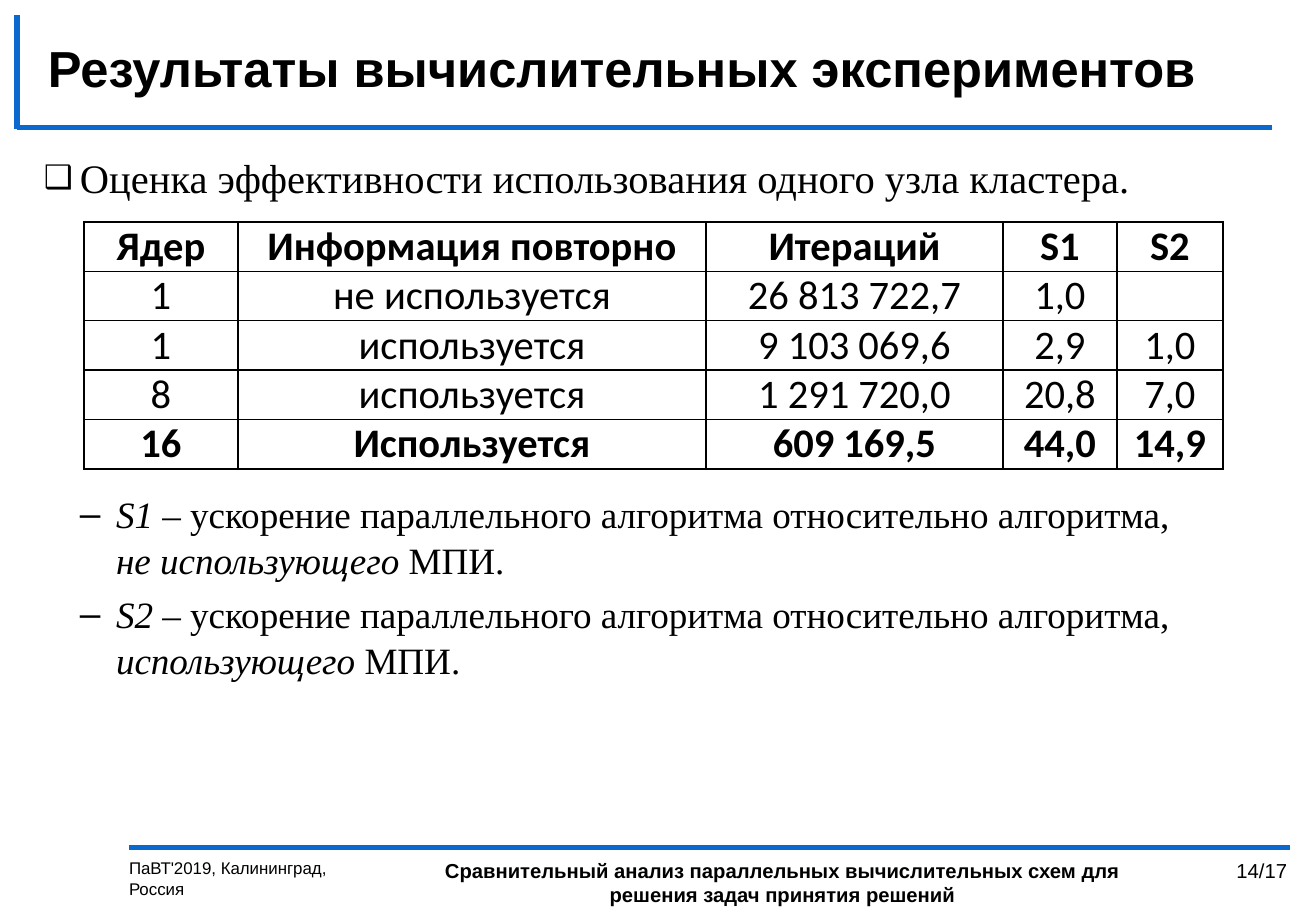
from lxml.etree import SubElement
from pptx import Presentation
from pptx.dml.color import RGBColor
from pptx.enum.shapes import MSO_CONNECTOR
from pptx.enum.text import MSO_ANCHOR as Anchor, PP_ALIGN as Align
from pptx.oxml.ns import qn
from pptx.util import Emu, Pt

BLACK = RGBColor(0x00, 0x00, 0x00)
BLUE = RGBColor(0x09, 0x69, 0xCD)
WIDTH, HEIGHT = 1316, 911


def px(length):
    """Turn picture pixels into EMU."""
    return Emu(round(length * 914400 / 121.5))


def write(paragraph, text, font="Arial", size=12, bold=False, italic=False, color=BLACK):
    """Append one formatted run to a paragraph."""
    run = paragraph.add_run()
    run.text = text
    run.font.name, run.font.size = font, Pt(size)
    run.font.bold, run.font.italic = bold, italic
    run.font.color.rgb = color


def add_bullet(paragraph, char, indent, percent=100):
    """Give a paragraph a hanging bullet, with the indent in pixels."""
    properties = paragraph._p.get_or_add_pPr()
    properties.set("marL", str(px(indent)))
    properties.set("indent", str(-px(36)))
    SubElement(properties, qn("a:buSzPct"), val=str(percent * 1000))
    SubElement(properties, qn("a:buFont"), typeface="Arial")
    SubElement(properties, qn("a:buChar"), char=char)


def add_borders(cell):
    """Draw thin black borders on all four sides of a cell."""
    properties = cell._tc.get_or_add_tcPr()
    for index, side in enumerate(("lnL", "lnR", "lnT", "lnB")):
        line = properties.makeelement(qn(f"a:{side}"), {"w": str(Pt(1))})
        fill = SubElement(line, qn("a:solidFill"))
        SubElement(fill, qn("a:srgbClr"), val=str(BLACK))
        properties.insert(index, line)


class SlideBuilder:
    """Holds the current slide and the shared style of its elements."""

    body_font, table_font = "Times New Roman", "Calibri"

    def __init__(self, slide):
        """Keep the slide to draw on."""
        self.shapes = slide.shapes

    def rule(self, x1, y1, x2, y2):
        """Draw a blue decorative line."""
        line = self.shapes.add_connector(MSO_CONNECTOR.STRAIGHT, px(x1), px(y1), px(x2), px(y2))
        line.line.color.rgb, line.line.width = BLUE, Pt(3)
        SubElement(line._element.spPr, qn("a:effectLst"))

    def frame(self, left, top, width, height, anchor=Anchor.TOP):
        """Add a wrapping text box without insets and return its text frame."""
        frame = self.shapes.add_textbox(px(left), px(top), px(width), px(height)).text_frame
        frame.word_wrap, frame.vertical_anchor = True, anchor
        frame.margin_left = frame.margin_right = frame.margin_top = frame.margin_bottom = 0
        return frame

    def label(self, text, *box, align=Align.LEFT, anchor=Anchor.TOP, **style):
        """Add a text box with one paragraph and return the paragraph."""
        paragraph = self.frame(*box, anchor=anchor).paragraphs[0]
        paragraph.alignment = align
        write(paragraph, text, **style)
        return paragraph

    def definitions(self, items, *box):
        """List dashed definitions made of (text, italic) runs."""
        frame = self.frame(*box)
        for index, runs in enumerate(items):
            paragraph = frame.add_paragraph() if index else frame.paragraphs[0]
            paragraph.line_spacing = 1.03
            paragraph.space_before = Pt(5 if index else 0)
            add_bullet(paragraph, "–", 72)
            for text, italic in runs:
                write(paragraph, text, font=self.body_font, size=22, italic=italic)

    def table(self, rows, left, top, widths, row_height):
        """Add a bordered table whose first and last rows are bold."""
        grid = self.shapes.add_table(len(rows), len(widths), px(left), px(top),
                                     px(sum(widths)), px(row_height * len(rows))).table
        grid.first_row = grid.horz_banding = False
        for column, width in zip(grid.columns, widths):
            column.width = px(width)
        for r, row in enumerate(rows):
            for c, value in enumerate(row):
                cell = grid.cell(r, c)
                cell.fill.background()
                cell.vertical_anchor = Anchor.BOTTOM
                cell.margin_left = cell.margin_right = px(8)
                cell.margin_top = cell.margin_bottom = 0
                add_borders(cell)
                paragraph = cell.text_frame.paragraphs[0]
                paragraph.alignment = Align.CENTER
                write(paragraph, value, font=self.table_font, size=24,
                      bold=r in (0, len(rows) - 1))


RESULTS = [
    ("Ядер", "Информация повторно", "Итераций", "S1", "S2"),
    ("1", "не используется", "26 813 722,7", "1,0", ""),
    ("1", "используется", "9 103 069,6", "2,9", "1,0"),
    ("8", "используется", "1 291 720,0", "20,8", "7,0"),
    ("16", "Используется", "609 169,5", "44,0", "14,9"),
]
SPEEDUP = " – ускорение параллельного алгоритма относительно алгоритма, "
SPEEDUPS = [
    [(name, True), (SPEEDUP, False), (usage, True), (" МПИ.", False)]
    for name, usage in (("S1", "не использующего"), ("S2", "использующего"))
]

deck = Presentation()
deck.slide_width, deck.slide_height = px(WIDTH), px(HEIGHT)
page = SlideBuilder(deck.slides.add_slide(deck.slide_layouts[6]))

page.rule(129, 848, 1290, 848)
page.rule(17, 128, 1272, 128)
page.rule(17, 15, 17, 129)

page.label("Результаты вычислительных экспериментов", 48, 30, 1240, 74,
           anchor=Anchor.MIDDLE, size=30, bold=True)
topic = page.label("Оценка эффективности использования одного узла кластера.",
                   44, 153, 1224, 48, font=page.body_font, size=24)
add_bullet(topic, "❑", 36, percent=80)
page.table(RESULTS, 84, 222, (154, 468, 297, 114, 106), 49.4)
page.definitions(SPEEDUPS, 44, 490, 1141, 190)

page.label("ПаВТ'2019, Калининград, Россия", 129, 858, 235, 48, size=10)
page.label("Сравнительный анализ параллельных вычислительных схем для решения задач "
           "принятия решений", 412, 858, 741, 50, align=Align.CENTER, bold=True)
page.label("14/17", 1187, 858, 100, 48, align=Align.RIGHT)

deck.save("out.pptx")
